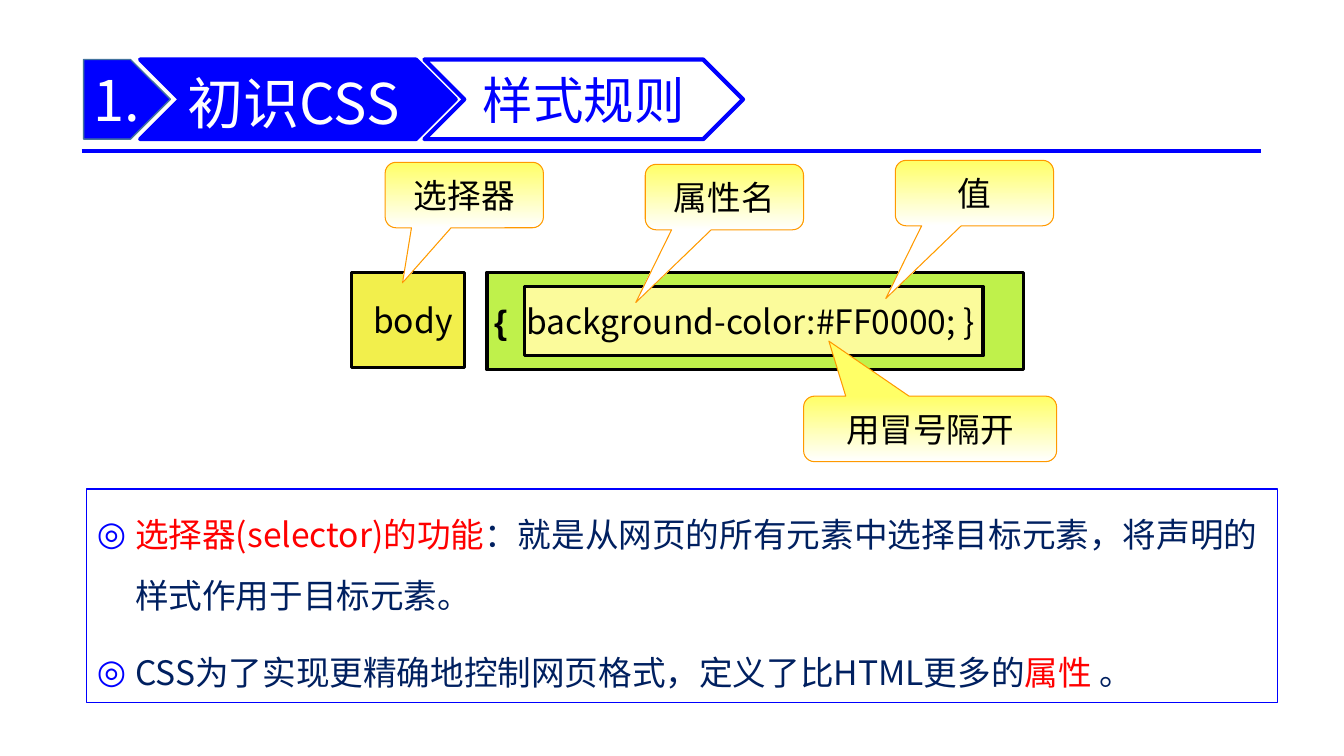
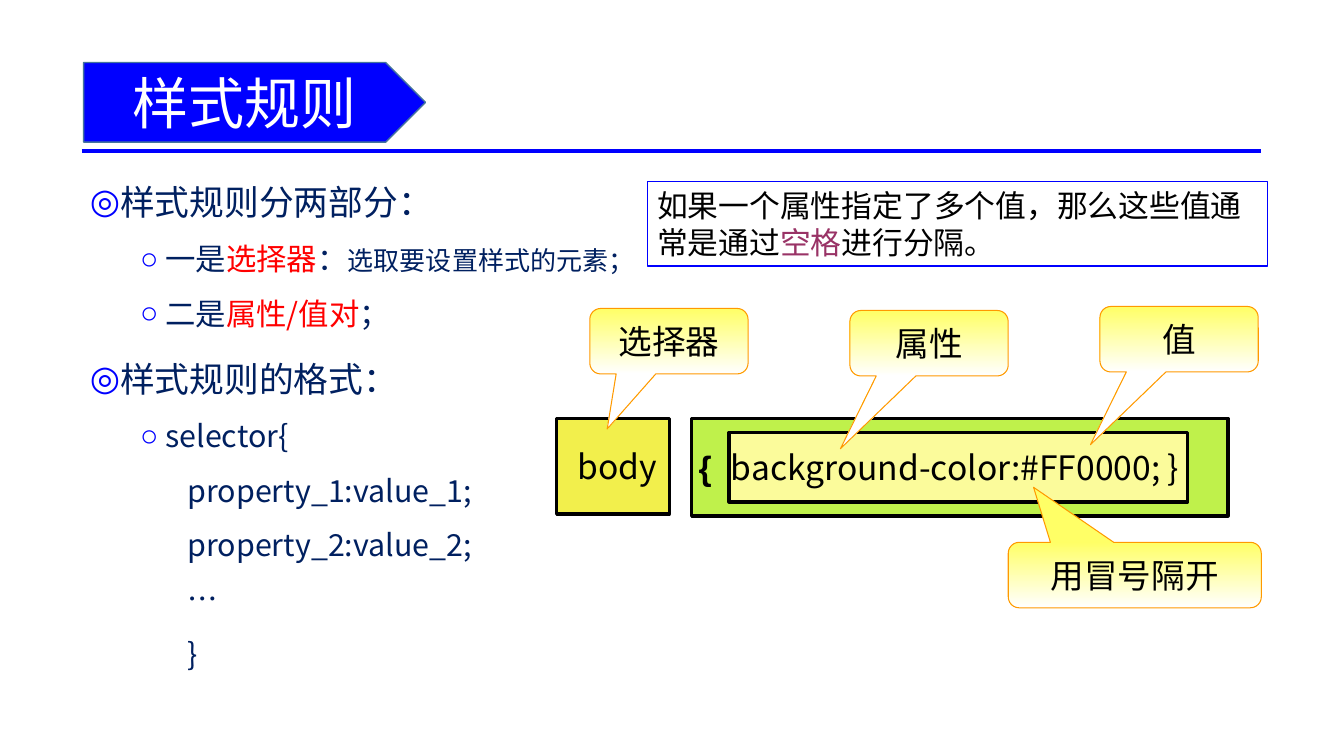
import pptx
import pptx.dml.color
import pptx.enum.shapes
import pptx.enum.text
import pptx.oxml
import pptx.oxml.ns
import pptx.util

Inches = pptx.util.Inches
Pt = pptx.util.Pt
RGB = pptx.dml.color.RGBColor
SHAPE = pptx.enum.shapes.MSO_SHAPE
ALIGN = pptx.enum.text.PP_ALIGN
ANCHOR = pptx.enum.text.MSO_ANCHOR
qn = pptx.oxml.ns.qn

BLUE = RGB(0x00, 0x00, 0xFF)
STEEL = RGB(0x43, 0x73, 0x9E)
NAVY = RGB(0x00, 0x20, 0x60)
RED = RGB(0xFF, 0x00, 0x00)
PLUM = RGB(0x99, 0x33, 0x66)
BLACK = RGB(0x00, 0x00, 0x00)
WHITE = RGB(0xFF, 0xFF, 0xFF)
GREEN = RGB(0xBF, 0xF1, 0x4B)
YELLOW = RGB(0xF2, 0xEF, 0x4C)
CREAM = RGB(0xFB, 0xFB, 0x9B)
LEMON = RGB(0xFF, 0xFF, 0x66)
ORANGE = RGB(0xFF, 0x99, 0x00)
FONT = "Noto Sans CJK SC"


class Deck:
    """Hold the shared style and the current slide."""

    def __init__(self):
        self.prs = pptx.Presentation()
        self.prs.slide_width = Inches(13.33)
        self.prs.slide_height = Inches(7.5)
        self.s = None

    def new_slide(self):
        self.s = self.prs.slides.add_slide(self.prs.slide_layouts[1])
        rule = self.s.shapes.add_connector(
            pptx.enum.shapes.MSO_CONNECTOR.STRAIGHT,
            Inches(0.81), Inches(1.5), Inches(12.51), Inches(1.5))
        rule.line.color.rgb = BLUE
        rule.line.width = Pt(3)
        pptx.oxml.ns  # namespace helpers
        rule.element.spPr.append(pptx.oxml.parse_xml(
            '<a:effectLst xmlns:a="http://schemas.openxmlformats.org/drawingml/2006/main"/>'))

    def run(self, p, text, color, size, font=FONT, bold=False):
        r = p.add_run()
        r.text = text
        r.font.size = Pt(size)
        r.font.bold = bold
        r.font.color.rgb = color
        r.font.name = font
        ea = r.font.element if hasattr(r.font, "element") else r._r.get_or_add_rPr()
        ea.append(ea.makeelement(qn("a:ea"), {"typeface": font}))

    def shape(self, kind, at, fill=None, line=None, width=1.0):
        sp = self.s.shapes.add_shape(kind, *map(Inches, at))
        sp.shadow.inherit = False
        if fill is None:
            sp.fill.background()
        else:
            sp.fill.solid()
            sp.fill.fore_color.rgb = fill
        sp.line.color.rgb = line
        sp.line.width = Pt(width)
        return sp

    def label(self, sp, runs, align=ALIGN.CENTER, inset=0.1, wrap=True):
        tf = sp.text_frame
        tf.word_wrap = wrap
        tf.vertical_anchor = ANCHOR.MIDDLE
        tf.margin_left = Inches(inset)
        p = tf.paragraphs[0]
        p.alignment = align
        for run in runs:
            self.run(p, *run)

    def place(self, ph, at):
        ph.left, ph.top, ph.width, ph.height = map(Inches, at)
        ph.text_frame.auto_size = pptx.enum.text.MSO_AUTO_SIZE.NONE
        ph.element.getparent().append(ph.element)
        return ph

    def title(self, text, at):
        ph = self.place(self.s.shapes.title, at)
        self.label(ph, [(text, WHITE, 40)])

    def body(self, at):
        ph = self.place(self.s.placeholders[1], at)
        ph.text_frame.word_wrap = True
        ph.text_frame.vertical_anchor = ANCHOR.TOP
        return ph

    def item(self, tf, runs, level, left, hang, spacing, before, bullet=None):
        p = tf.paragraphs[0]
        if p.runs:
            p = tf.add_paragraph()
        p.level = level
        p.alignment = ALIGN.LEFT
        p.line_spacing = spacing
        p.space_before = Pt(before)
        pPr = p._p.get_or_add_pPr()
        pPr.set("marL", str(Inches(left)))
        pPr.set("indent", str(-Inches(hang)))
        if bullet:
            clr = pPr.makeelement(qn("a:buClr"), {})
            clr.append(clr.makeelement(qn("a:srgbClr"), {"val": str(BLUE)}))
            pPr.append(clr)
            pPr.append(pPr.makeelement(qn("a:buChar"), {"char": bullet}))
        else:
            pPr.append(pPr.makeelement(qn("a:buNone"), {}))
        for run in runs:
            self.run(p, *run)

    def callout(self, text, at, tip):
        sp = self.shape(SHAPE.ROUNDED_RECTANGULAR_CALLOUT, at, LEMON, ORANGE, 0.75)
        sp.adjustments[0], sp.adjustments[1] = tip
        sp.fill.gradient()
        sp.fill.gradient_angle = 270
        for stop, color in zip(sp.fill.gradient_stops, (LEMON, WHITE)):
            stop.color.rgb = color
        self.label(sp, [(text, BLACK, 24)])

    def rule_diagram(self, x, y, property_name):
        blocks = (
            ((x + 1.34, y, 5.32, 0.97), GREEN, 0.07, ("{", BLACK, 24, "Arial", True)),
            ((x, y, 1.12, 0.95), YELLOW, 0.21, ("body", BLACK, 24)),
            ((x + 1.71, y + 0.14, 4.55, 0.69), CREAM, 0.02,
             ("background-color:#FF0000; }", BLACK, 24)),
        )
        for at, fill, inset, run in blocks:
            sp = self.shape(SHAPE.RECTANGLE, at, fill, BLACK, 2.25)
            sp.text_frame.margin_right = 0
            self.label(sp, [run], ALIGN.LEFT, inset, False)
        callouts = (
            ("选择器", 0.33, -1.09, 1.57, (-0.39, 1.34)),
            (property_name, 2.91, -1.07, 1.57, (-0.56, 1.61)),
            ("值", 5.39, -1.11, 1.57, (-0.56, 1.61)),
            ("用冒号隔开", 4.48, 1.23, 2.51, (-0.4, -1.34)),
        )
        for text, dx, dy, w, tip in callouts:
            self.callout(text, (x + dx, y + dy, w, 0.65), tip)


def selector_slide(d):
    d.new_slide()
    d.rule_diagram(3.49, 2.7, "属性名")
    ph = d.body((0.86, 4.85, 11.81, 2.12))
    ph.fill.solid()
    ph.fill.fore_color.rgb = WHITE
    ph.line.color.rgb = BLUE
    ph.line.width = Pt(1)
    items = (
        [("选择器(selector)的功能", RED, 24),
         ("：就是从网页的所有元素中选择目标元素，将声明的样式作用于目标元素。", NAVY, 24)],
        [("CSS为了实现更精确地控制网页格式，定义了比HTML更多的", NAVY, 24),
         ("属性", RED, 24), (" 。", NAVY, 24)],
    )
    for runs in items:
        d.item(ph.text_frame, runs, 0, 0.38, 0.38, 1.5, 12, "◎")
    number = d.shape(SHAPE.PENTAGON, (0.83, 0.59, 0.86, 0.79), BLUE, STEEL)
    d.label(number, [("1.", WHITE, 40)], ALIGN.LEFT, wrap=False)
    d.shape(SHAPE.CHEVRON, (1.39, 0.59, 3.13, 0.79), BLUE, BLUE, 3)
    d.title("初识CSS", (0.53, 0.47, 4.77, 1.08))
    topic = d.shape(SHAPE.CHEVRON, (4.21, 0.59, 3.16, 0.79), WHITE, BLUE, 3)
    d.label(topic, [("样式规则", BLUE, 36)])


def format_slide(d):
    d.new_slide()
    tf = d.body((0.79, 1.62, 11.68, 5.23)).text_frame
    big, mid, small = 24.8, 21.7, 18.6
    items = (
        ("◎", [("样式规则分两部分：", NAVY, big)]),
        ("○", [("一是", NAVY, mid), ("选择器", RED, mid), ("：", NAVY, mid),
               ("选取要设置样式的元素；", NAVY, small)]),
        ("○", [("二是", NAVY, mid), ("属性/值对", RED, mid), ("；", NAVY, mid)]),
        ("◎", [("样式规则的格式：", NAVY, big)]),
        ("○", [("selector{", NAVY, mid)]),
        (None, [("property_1:value_1;", NAVY, mid)]),
        (None, [("property_2:value_2;", NAVY, mid)]),
        (None, [("…", NAVY, mid)]),
        (None, [("}", NAVY, mid)]),
    )
    layout = {"◎": (0, 0.25, 0.25, 1.3, 10), "○": (1, 0.75, 0.25, 1.3, 5),
              None: (1, 0.97, 0, 1.3, 5)}
    for bullet, runs in items:
        d.item(tf, runs, *layout[bullet], bullet)
    note = d.shape(SHAPE.RECTANGLE, (6.42, 1.8, 6.15, 0.84), None, BLUE)
    d.label(note, [("如果一个属性指定了多个值，那么这些值通常是通过", BLACK, 22),
                   ("空格", PLUM, 22), ("进行分隔。", BLACK, 22)], ALIGN.LEFT)
    d.shape(SHAPE.PENTAGON, (0.83, 0.62, 3.39, 0.79), BLUE, STEEL)
    d.title("样式规则", (0.83, 0.62, 3.19, 0.79))
    d.rule_diagram(5.52, 4.15, "属性")


def main():
    d = Deck()
    selector_slide(d)
    format_slide(d)
    d.prs.save("out.pptx")


if __name__ == "__main__":
    main()
